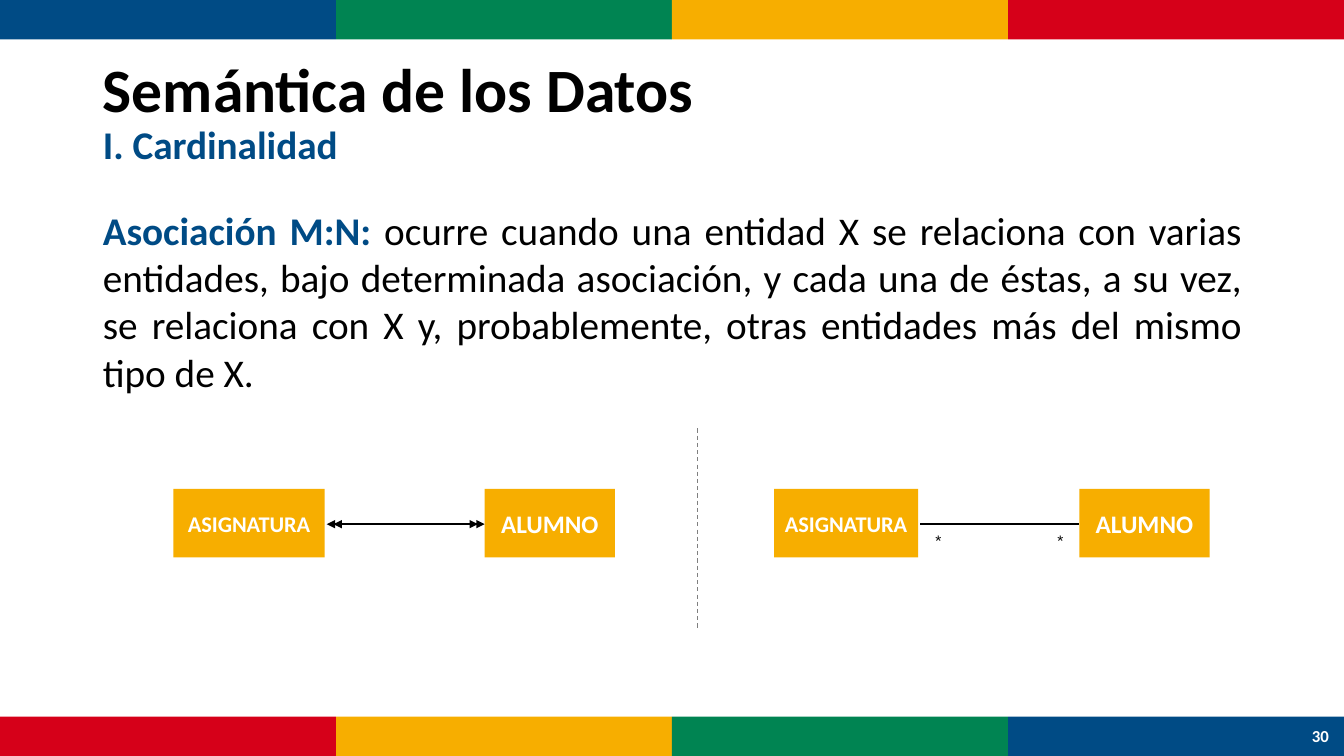
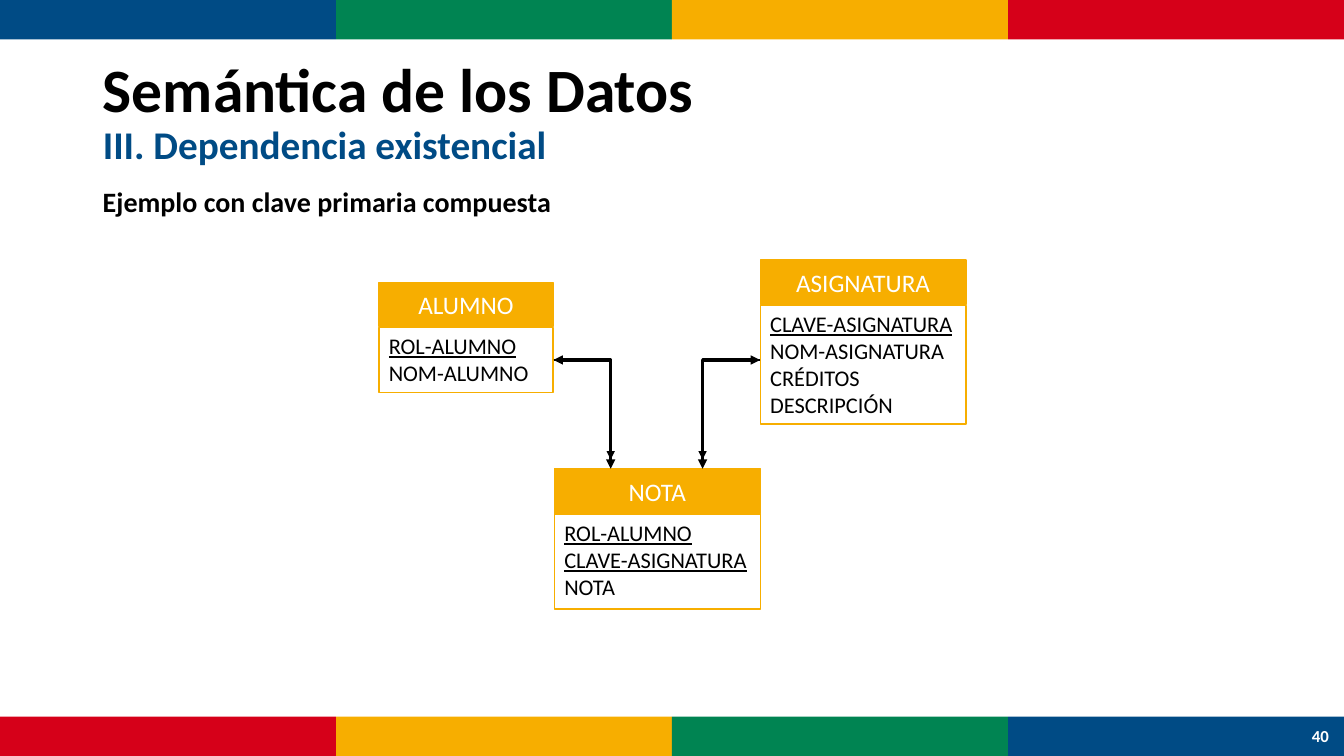
"""Build two slides on data semantics with shared bands, titles and diagrams."""
from dataclasses import dataclass

from lxml import etree
from pptx import Presentation
from pptx import util as u
from pptx.dml.color import RGBColor
from pptx.enum import dml, shapes, text
from pptx.oxml import ns

WIDTH, HEIGHT = u.Inches(13.33), u.Inches(7.5)
COLUMNS, ROWS = 32, 18
BLUE, GREEN, AMBER, RED = "004B85", "008452", "F7AE00", "D60019"
BLACK, WHITE, GREY = "000000", "FFFFFF", "7F7F7F"
BAND_HEIGHT = 0.94
HEADER_HEIGHT, FIELDS_OFFSET = 1.06, 1.08
MARGIN, TEXT_WIDTH = 2.21, 27.6
CENTER, LEFT = text.PP_ALIGN.CENTER, text.PP_ALIGN.LEFT


@dataclass(frozen=True)
class Area:
    column: float
    row: float
    columns: float
    rows: float

    def lengths(self) -> tuple[int, int, int, int]:
        return (across(self.column), down(self.row),
                across(self.columns), down(self.rows))


@dataclass(frozen=True)
class Style:
    size: float
    color: str = BLACK
    bold: bool = False
    align: int = LEFT
    name: str = "Calibri"


@dataclass(frozen=True)
class Entity:
    label: str
    column: float
    columns: float
    size: int


@dataclass(frozen=True)
class Link:
    start: tuple[float, float]
    end: tuple[float, float]
    width: float
    head: bool = False
    tail: bool = False
    bent: bool = False
    dashed: bool = False
    color: str = BLACK


@dataclass(frozen=True)
class Schema:
    label: str
    column: float
    row: float
    columns: float
    field_rows: float
    keys: tuple[str, ...]
    others: tuple[str, ...]


ENTITY_ROW, ENTITY_ROWS, LINK_ROW = 11.64, 1.63, 12.48
ENTITIES = (
    Entity("ASIGNATURA", 4.13, 3.6, 16),
    Entity("ALUMNO", 11.54, 3.1, 18),
    Entity("ASIGNATURA", 18.43, 3.43, 16),
    Entity("ALUMNO", 25.7, 3.1, 18),
)
CARDINALITY_LINKS = (
    Link((16.61, 10.2), (16.61, 14.98), 0.75, dashed=True, color=GREY),
    Link((21.91, LINK_ROW), (25.7, LINK_ROW), 1.25),
    Link((7.78, LINK_ROW), (11.54, LINK_ROW), 1.25, head=True, tail=True),
    Link((10.51, LINK_ROW), (11.38, LINK_ROW), 0.5, tail=True),
    Link((8.83, LINK_ROW), (7.94, LINK_ROW), 0.5, tail=True),
)
SCHEMAS = (
    Schema("ALUMNO", 9.02, 6.72, 4.15, 1.54, ("ROL-ALUMNO",), ("NOM-ALUMNO",)),
    Schema("ASIGNATURA", 18.1, 6.19, 4.9, 2.83, ("CLAVE-ASIGNATURA",),
           ("NOM-ASIGNATURA", "CRÉDITOS", "DESCRIPCIÓN")),
    Schema("NOTA", 13.2, 11.16, 4.9, 2.26,
           ("ROL-ALUMNO", "CLAVE-ASIGNATURA"), ("NOTA",)),
)


def across(columns: float) -> int:
    return round(WIDTH * columns / COLUMNS)


def down(rows: float) -> int:
    return round(HEIGHT * rows / ROWS)


def paint(target, color: str) -> None:
    target.solid()
    target.fore_color.rgb = RGBColor.from_string(color)


def set_font(font, style: Style) -> None:
    font.name, font.size, font.bold = style.name, u.Pt(style.size), style.bold
    paint(font.fill, style.color)


def write(para, words: str, style: Style, underline: bool = False) -> None:
    para.add_run().text = words
    para.alignment = style.align
    set_font(para.font, style)
    para.font.underline = underline


def place(box, area: Area) -> None:
    box.left, box.top, box.width, box.height = area.lengths()


def add_label(page, area: Area, words: str, style: Style, inset: float = 0.1,
              anchor=text.MSO_ANCHOR.MIDDLE) -> None:
    box = page.shapes.add_textbox(*area.lengths())
    frame = box.text_frame
    frame.word_wrap = True
    frame.vertical_anchor = anchor
    frame.margin_left = frame.margin_right = u.Inches(inset)
    frame.margin_top = frame.margin_bottom = u.Inches(inset / 2)
    write(frame.paragraphs[0], words, style)


def add_box(page, area: Area, fill: str | None, line: str | None = None):
    box = page.shapes.add_shape(shapes.MSO_SHAPE.RECTANGLE, *area.lengths())
    box.shadow.inherit = False
    if fill:
        paint(box.fill, fill)
    else:
        box.fill.background()
    if line:
        paint(box.line.fill, line)
        box.line.width = u.Pt(1)
    else:
        box.line.fill.background()
    return box


def add_titled_box(page, area: Area, words: str, style: Style,
                   line: str | None = None) -> None:
    frame = add_box(page, area, AMBER, line).text_frame
    frame.word_wrap = False
    frame.vertical_anchor = text.MSO_ANCHOR.MIDDLE
    write(frame.paragraphs[0], words, style)


def add_link(page, link: Link) -> None:
    kind = shapes.MSO_CONNECTOR.ELBOW if link.bent else shapes.MSO_CONNECTOR.STRAIGHT
    (x1, y1), (x2, y2) = link.start, link.end
    connector = page.shapes.add_connector(
        kind, across(x1), down(y1), across(x2), down(y2))
    paint(connector.line.fill, link.color)
    connector.line.width = u.Pt(link.width)
    if link.dashed:
        connector.line.dash_style = dml.MSO_LINE.DASH
    properties = connector._element.spPr
    if link.bent:
        properties.find(ns.qn("a:prstGeom")).set("prst", "bentConnector2")
    outline = properties.find(ns.qn("a:ln"))
    for tag, shown in (("a:headEnd", link.head), ("a:tailEnd", link.tail)):
        if shown:
            etree.SubElement(outline, ns.qn(tag), type="triangle")
    etree.SubElement(properties, ns.qn("a:effectLst"))


def add_schema(page, schema: Schema) -> None:
    header = Area(schema.column, schema.row, schema.columns, HEADER_HEIGHT)
    add_titled_box(page, header, schema.label,
                   Style(18, WHITE, align=CENTER), AMBER)
    fields = Area(schema.column, schema.row + FIELDS_OFFSET,
                  schema.columns, schema.field_rows)
    frame = add_box(page, fields, None, AMBER).text_frame
    frame.word_wrap = True
    frame.vertical_anchor = text.MSO_ANCHOR.TOP
    frame.margin_right = 0
    for index, name in enumerate(schema.keys + schema.others):
        para = frame.add_paragraph() if index else frame.paragraphs[0]
        write(para, name, Style(16), index < len(schema.keys))


def add_page(deck, layout: int, subtitle: str, number: str):
    page = deck.slides.add_slide(deck.slide_layouts[layout])
    colors = (BLUE, GREEN, AMBER, RED)
    share = COLUMNS / len(colors)
    for row, order in ((0, colors), (ROWS - BAND_HEIGHT, colors[::-1])):
        for index, color in enumerate(order):
            add_box(page, Area(index * share, row, share, BAND_HEIGHT), color)
    title = page.shapes.title
    place(title, Area(MARGIN, 0.96, TEXT_WIDTH, 3.48))
    frame = title.text_frame
    frame.auto_size = text.MSO_AUTO_SIZE.NONE
    frame.vertical_anchor = text.MSO_ANCHOR.MIDDLE
    para = frame.paragraphs[0]
    para.line_spacing = 0.9
    write(para, "Semántica de los Datos", Style(44, bold=True))
    para.add_line_break()
    span = para.add_run()
    span.text = subtitle
    set_font(span.font, Style(28, BLUE, True))
    add_label(page, Area(30.89, ROWS - BAND_HEIGHT, 1.1, BAND_HEIGHT), number,
              Style(12, WHITE, True, CENTER))
    return page


def build_cardinality(deck) -> None:
    page = add_page(deck, 1, "I. Cardinalidad", "30")
    body = page.placeholders[1]
    place(body, Area(MARGIN, 4.8, TEXT_WIDTH, 11.42))
    body.text_frame.auto_size = text.MSO_AUTO_SIZE.NONE
    para = body.text_frame.paragraphs[0]
    properties = para._p.get_or_add_pPr()
    properties.set("marL", "0")
    properties.set("indent", "0")
    etree.SubElement(properties, ns.qn("a:buNone"))
    para.space_before = u.Pt(0)
    term = para.add_run()
    term.text = "Asociación M:N: "
    set_font(term.font, Style(28, BLUE, True))
    write(para, "ocurre cuando una entidad X se relaciona con varias entidades, "
          "bajo determinada asociación, y cada una de éstas, a su vez, se "
          "relaciona con X y, probablemente, otras entidades más del mismo "
          "tipo de X.", Style(28, align=text.PP_ALIGN.JUSTIFY))
    for entity in ENTITIES:
        add_titled_box(page, Area(entity.column, ENTITY_ROW, entity.columns, ENTITY_ROWS),
                       entity.label, Style(entity.size, WHITE, True, CENTER))
    for link in CARDINALITY_LINKS:
        add_link(page, link)
    for column in (22.1, 25.01):
        add_label(page, Area(column, 12.62, 0.48, 0.53), "*",
                  Style(13, align=CENTER, name="Karla"), 0)


def build_dependency(deck) -> None:
    page = add_page(deck, 5, "III. Dependencia existencial", "40")
    add_label(page, Area(MARGIN, 4.27, 21.94, 1.06),
              "Ejemplo con clave primaria compuesta", Style(20, bold=True),
              anchor=text.MSO_ANCHOR.TOP)
    for schema in SCHEMAS:
        add_schema(page, schema)
    for start, end in ((13.18, 14.54), (18.1, 16.73)):
        for row, width, head in ((11.16, 2.25, True), (10.94, 1, False)):
            add_link(page, Link((start, 8.57), (end, row), width, head,
                                tail=True, bent=True))


def main() -> None:
    deck = Presentation()
    deck.slide_width, deck.slide_height = WIDTH, HEIGHT
    build_cardinality(deck)
    build_dependency(deck)
    deck.save("out.pptx")


if __name__ == "__main__":
    main()
